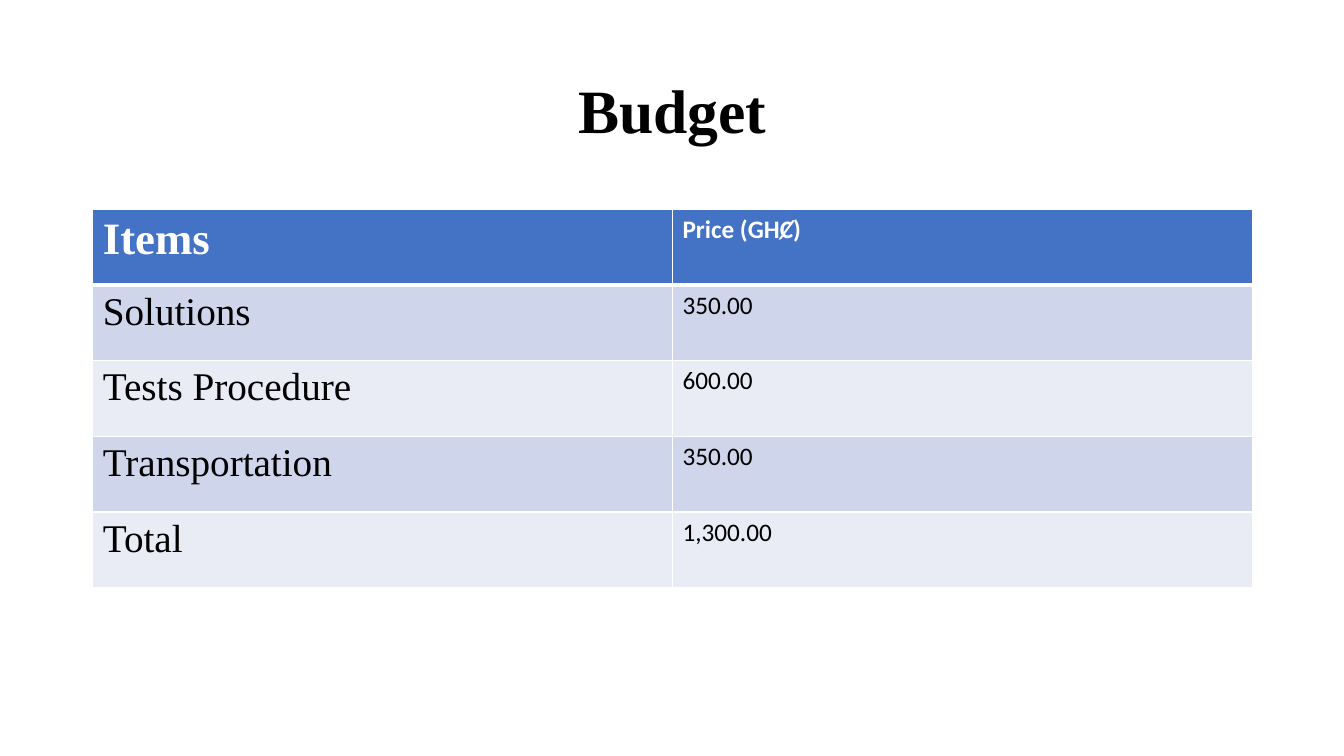
from dataclasses import dataclass

import pptx
import pptx.dml.color
import pptx.enum.text
import pptx.oxml
import pptx.oxml.ns
import pptx.util

Inches = pptx.util.Inches
Pt = pptx.util.Pt
RGBColor = pptx.dml.color.RGBColor


@dataclass(frozen=True)
class Theme:
    heading_font: str = "Times New Roman"
    body_font: str = "Calibri"
    ink: str = "000000"
    paper: str = "FFFFFF"
    header_fill: str = "4472C4"
    bands: tuple = ("CFD5EA", "E9EBF5")
    title_size: int = 44
    header_size: int = 32
    item_size: int = 28
    price_size: int = 18
    thin_line: int = 1
    header_line: int = 3


class BudgetSlide:
    def __init__(self, presentation, theme):
        self.theme = theme
        self.slide = presentation.slides.add_slide(presentation.slide_layouts[5])

    def style(self, paragraph, font_name, size, color, bold):
        font = paragraph.font
        font.name = font_name
        font.size = Pt(size)
        font.bold = bold
        font.color.rgb = RGBColor.from_string(color)

    def title(self, text, left, top, width, height):
        heading = self.slide.shapes.title
        heading.left, heading.top = Inches(left), Inches(top)
        heading.width, heading.height = Inches(width), Inches(height)
        frame = heading.text_frame
        frame.text = text
        frame.word_wrap = True
        frame.vertical_anchor = pptx.enum.text.MSO_ANCHOR.MIDDLE
        paragraph = frame.paragraphs[0]
        paragraph.alignment = pptx.enum.text.PP_ALIGN.CENTER
        paragraph.line_spacing = 0.9
        self.style(paragraph, self.theme.heading_font, self.theme.title_size,
                   self.theme.ink, True)

    def borders(self, cell, widths):
        properties = cell._tc.get_or_add_tcPr()
        for position, (side, width) in enumerate(widths.items()):
            line = pptx.oxml.parse_xml(
                f'<a:{side} {pptx.oxml.ns.nsdecls("a")} w="{Pt(width)}">'
                f'<a:solidFill><a:srgbClr val="{self.theme.paper}"/></a:solidFill>'
                f'</a:{side}>')
            properties.insert(position, line)

    def table(self, rows, left, top, width, row_height):
        theme = self.theme
        budget = self.slide.shapes.add_table(
            len(rows), len(rows[0]), Inches(left), Inches(top),
            Inches(width), Inches(row_height * len(rows))).table
        for row_index, row in enumerate(rows):
            is_header = row_index == 0
            fill = theme.header_fill if is_header else theme.bands[(row_index - 1) % 2]
            color = theme.paper if is_header else theme.ink
            item_size = theme.header_size if is_header else theme.item_size
            column_styles = ((theme.heading_font, item_size),
                             (theme.body_font, theme.price_size))
            widths = {
                "lnL": theme.thin_line,
                "lnR": theme.thin_line,
                "lnT": theme.header_line if row_index == 1 else theme.thin_line,
                "lnB": theme.header_line if is_header else theme.thin_line,
            }
            for column, (text, (font_name, size)) in enumerate(zip(row, column_styles)):
                cell = budget.cell(row_index, column)
                cell.text = text
                cell.fill.solid()
                cell.fill.fore_color.rgb = RGBColor.from_string(fill)
                self.style(cell.text_frame.paragraphs[0], font_name, size, color, is_header)
                self.borders(cell, widths)


def main():
    presentation = pptx.Presentation()
    presentation.slide_width = Inches(13.33)
    presentation.slide_height = Inches(7.5)
    budget_slide = BudgetSlide(presentation, Theme())
    budget_slide.title("Budget", 0.92, 0.4, 11.5, 1.45)
    budget_slide.table([
        ("Items", "Price (GHȻ)"),
        ("Solutions", "350.00"),
        ("Tests Procedure", "600.00"),
        ("Transportation", "350.00"),
        ("Total", "1,300.00"),
    ], 0.92, 2.08, 11.5, 0.75)
    presentation.save("out.pptx")


if __name__ == "__main__":
    main()
